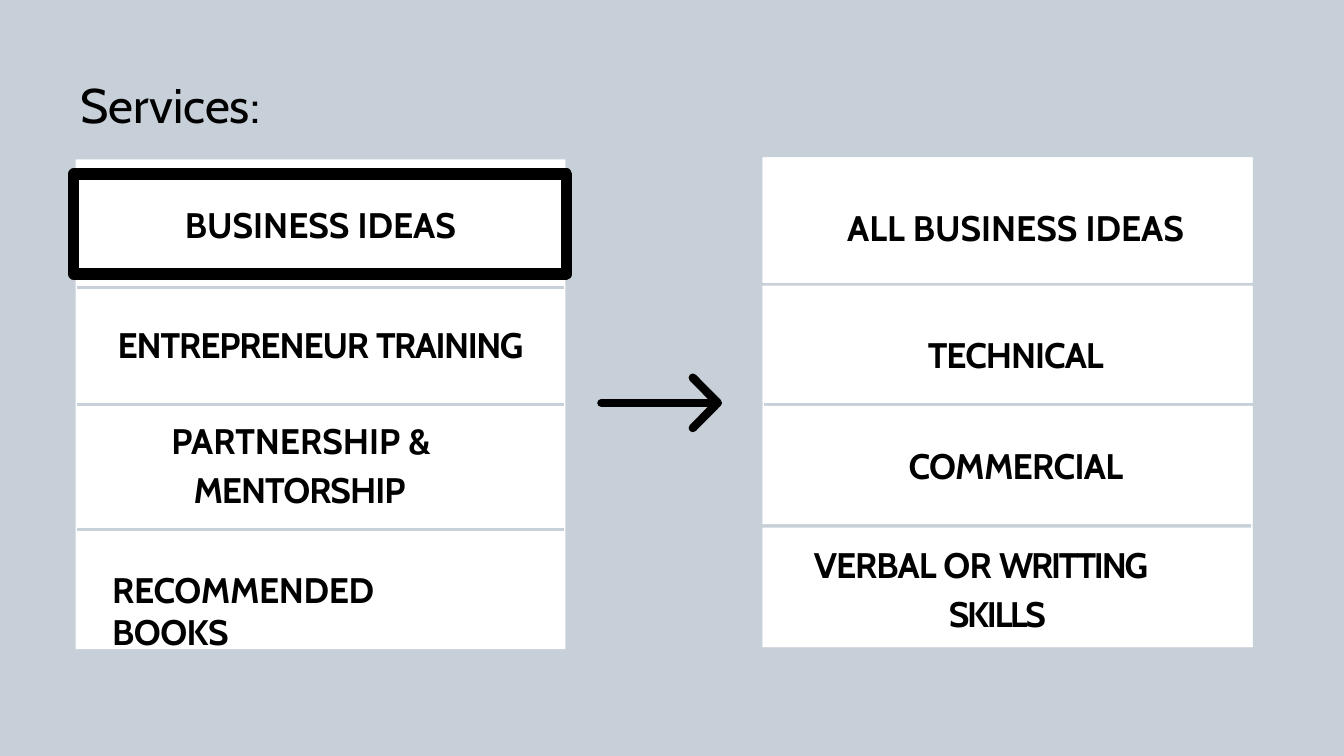
from pptx import Presentation
from pptx import util as u
from pptx.dml import color
from pptx.enum import shapes, text
from pptx.oxml import ns
from lxml import etree

theme = {
    "back": color.RGBColor.from_string("C7D0D8"),
    "panel": color.RGBColor.from_string("FFFFFF"),
    "ink": color.RGBColor.from_string("000000"),
    "font": "Cabin",
    "title": u.Pt(52),
    "label": u.Pt(38),
    "rule": u.Pt(3.75),
    "frame": u.Pt(12),
    "arrow": u.Pt(9),
}

prs = Presentation()
prs.slide_width, prs.slide_height = u.Inches(20), u.Inches(11.25)
col, row = prs.slide_width / 100, prs.slide_height / 100
slide = prs.slides.add_slide(prs.slide_layouts[6])
slide.background.fill.solid()
slide.background.fill.fore_color.rgb = theme["back"]
sps = slide.shapes


def add_rect(x, y, w, h):
    sp = sps.add_shape(shapes.MSO_SHAPE.RECTANGLE, int(x * col), int(y * row), int(w * col), int(h * row))
    sp.shadow.inherit = False
    sp.fill.solid()
    sp.fill.fore_color.rgb = theme["panel"]
    sp.line.fill.background()
    return sp


def write(p, runs, size, bold=True, left=0, hang=0, right=0, align=text.PP_ALIGN.LEFT):
    pPr = p._p.get_or_add_pPr()
    for name, cols in (("marL", left), ("indent", hang), ("marR", right)):
        pPr.set(name, str(int(cols * col)))
    p.alignment = align
    for words, spacing in runs:
        r = p.add_run()
        r.text = words
        if spacing:
            r._r.get_or_add_rPr().set("spc", str(int(spacing * 100)))
    p.font.name, p.font.size, p.font.bold = theme["font"], size, bold
    p.font.color.rgb = theme["ink"]


center = text.PP_ALIGN.CENTER
panels = [
    (5.62, 21.07, [(5.75, 36.2, 38.04), (5.75, 36.2, 53.51), (5.75, 36.2, 70.04)]),
    (56.75, 20.8, [(56.3, 37.4, 37.6), (56.85, 37.4, 53.51), (55.7, 37.4, 69.6)]),
]
for x, y, rules in panels:
    add_rect(x, y, 36.45, 64.8)
    for left, width, top in rules:
        c = sps.add_connector(
            shapes.MSO_CONNECTOR.STRAIGHT,
            int(left * col), int(top * row), int((left + width) * col), int(top * row),
        )
        c.line.color.rgb = theme["back"]
        c.line.width = theme["rule"]
        etree.SubElement(c._element.spPr, ns.qn("a:effectLst"))

frame = add_rect(5.5, 23.02, 36.65, 13.24)
frame.line.color.rgb = theme["ink"]
frame.line.width = theme["frame"]
etree.SubElement(frame.line._get_or_add_ln(), ns.qn("a:round"))

fb = sps.build_freeform(int(44.75 * col), int(53.29 * row))
fb.add_line_segments([(int(53.4 * col), int(53.29 * row))], close=False)
fb.move_to(int(51.55 * col), int(49.96 * row))
fb.add_line_segments(
    [(int(x * col), int(y * row)) for x, y in ((53.4, 53.29), (51.55, 56.62))], close=False
)
arrow = fb.convert_to_shape()
arrow.shadow.inherit = False
arrow.fill.background()
arrow.line.color.rgb = theme["ink"]
arrow.line.width = theme["arrow"]
ln = arrow.line._get_or_add_ln()
ln.set("cap", "rnd")
etree.SubElement(ln, ns.qn("a:round"))

ideas = [
    (20.8, 16.53, 6.49, [("ALL BUSINESS IDEAS", 0)], dict(left=1.2, align=center), 1),
    (37.78, 15.47, 6.31, [("TECHNICAL", -1.1)], dict(left=1.2, align=center), 1),
    (53.69, 15.64, 5.07, [("COMMERCIAL", -0.8)], dict(left=1.2, align=center), 1),
    (69.78, 15.82, 1.16, [("VERBAL ", -1.1), ("OR ", -0.8), ("WRITTING ", -2.4), ("SKILLS", -2.5)],
     dict(left=13.85, hang=-10.05, right=2), 1.16),
]
for y, h, inset, runs, layout, spacing in ideas:
    tf = add_rect(56.75, y, 36.45, h).text_frame
    tf.word_wrap = True
    tf.vertical_anchor = text.MSO_ANCHOR.TOP
    tf.margin_left = tf.margin_right = tf.margin_bottom = 0
    tf.margin_top = int(inset * row)
    p = tf.paragraphs[0]
    p.line_spacing = spacing
    write(p, runs, theme["label"], **layout)

services = [
    ([("BUSINESS IDEAS", 0)], dict(align=center), 0, 1),
    ([("ENTREPRENEUR ", -1.2), ("TRAINING", -1.6)], dict(align=center), 83, 1),
    ([("PARTNERSHIP & ", 0), ("MENTORSHIP", -1.1)], dict(left=7.85, hang=-1.65), 49, 1.17),
    ([("RECOMMENDED ", -0.4), ("BOOKS", -0.6)], dict(left=1.8, right=8), 61, 1),
]
tf = sps.add_textbox(int(6.55 * col), int(26.67 * row), int(34.6 * col), int(54.31 * row)).text_frame
tf.word_wrap = True
tf.margin_left = tf.margin_right = tf.margin_bottom = 0
tf.margin_top = int(0.18 * row)
for i, (runs, layout, gap, spacing) in enumerate(services):
    p = tf.add_paragraph() if i else tf.paragraphs[0]
    p.line_spacing = spacing
    if gap:
        p.space_before = u.Pt(gap)
    write(p, runs, theme["label"], **layout)

tf = sps.add_textbox(int(6 * col), int(9.78 * row), int(14.75 * col), int(7.91 * row)).text_frame
tf.word_wrap = False
tf.margin_left = tf.margin_right = tf.margin_bottom = 0
tf.margin_top = int(0.15 * row)
write(tf.paragraphs[0], [("Services:", 0)], theme["title"], bold=False)

prs.save("out.pptx")
